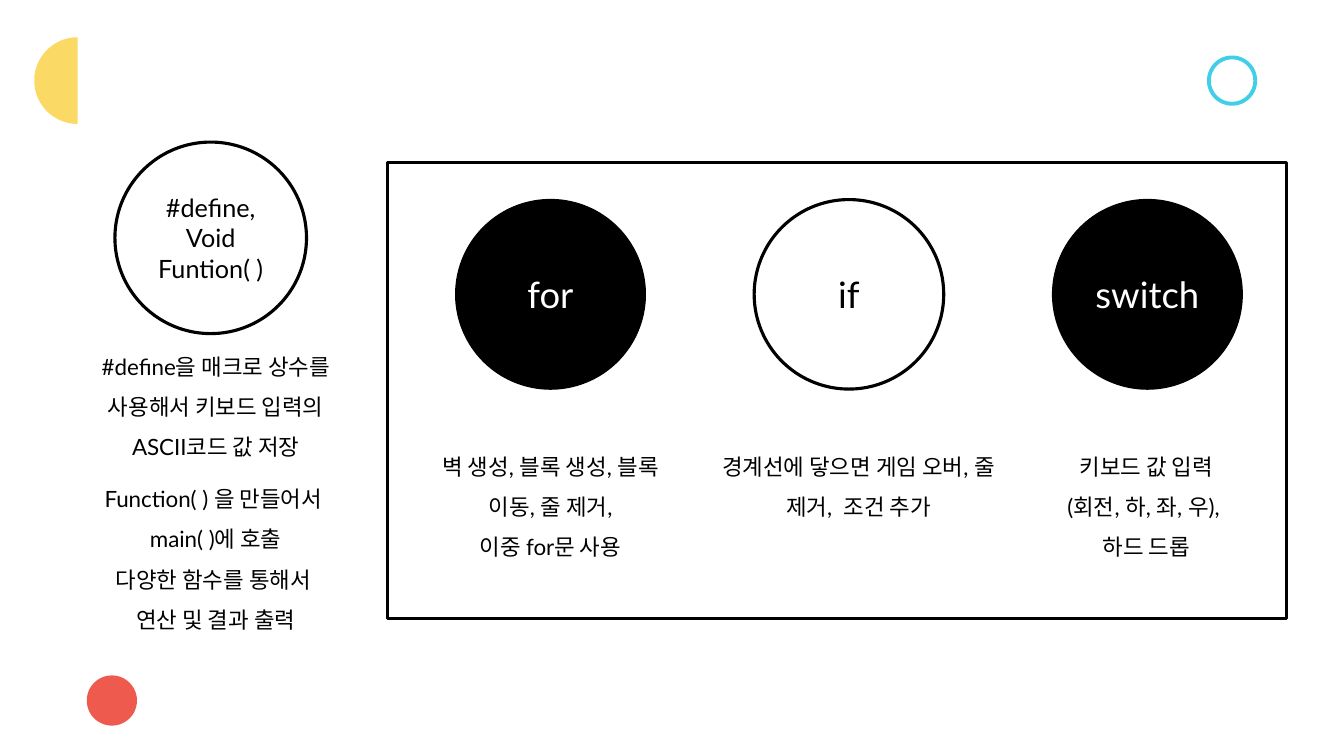
"""Build a slide explaining the macros, functions and control statements of a game."""
import math
from dataclasses import dataclass

import pptx
import pptx.dml.color
import pptx.enum.shapes
import pptx.enum.text
import pptx.util

SLIDE_SIZE = (1333, 750)
EMU_PER_PX = 9144

HALF_DISC = {"center": (77, 80), "radius": 43}
DOTS = [
    {"box": (88, 672, 46, 46), "fill": "red", "line": "red"},
    {"box": (1199, 57, 46, 46), "fill": None, "line": "cyan"},
]
FRAME = (384, 161, 892, 453)

DEFINE_CIRCLE = {"box": (114, 141, 190, 190), "lines": ["#define,", "Void Funtion( )"]}
DEFINE_NOTES = [
    {"box": (75, 332, 278, 131),
     "lines": ["#define을 매크로 상수를 사용해서 키보드 입력의 ASCII코드 값 저장"]},
    {"box": (75, 463, 278, 172),
     "lines": ["Function( ) 을 만들어서  main( )에 호출",
               "다양한 함수를 통해서 \n연산 및 결과 출력"]},
]

STATEMENTS = [
    {"keyword": "for", "solid": True, "note_left": 407, "note_size": (278, 131),
     "lines": ["벽 생성, 블록 생성, 블록 이동, 줄 제거,", "이중 for문 사용"]},
    {"keyword": "if", "solid": False, "note_left": 705, "note_size": (293, 91),
     "lines": ["경계선에 닿으면 게임 오버, 줄 제거,  조건 추가"]},
    {"keyword": "switch", "solid": True, "note_left": 998, "note_size": (278, 131),
     "lines": ["키보드 값 입력\n(회전, 하, 좌, 우), \n하드 드롭"]},
]
STATEMENT_LEFT, STATEMENT_TOP, STATEMENT_STEP, STATEMENT_DIAMETER = 452, 198, 296, 188
NOTE_TOP = 431


@dataclass(frozen=True)
class Theme:
    """Colours, font, type sizes and line widths."""
    black: str = "000000"
    white: str = "FFFFFF"
    yellow: str = "FBD965"
    red: str = "EE5A4E"
    cyan: str = "40CEE9"
    font: str = "Lato"
    keyword_size: int = 26
    define_size: int = 18
    note_size: int = 16
    note_spacing: float = 1.5
    dot_line: float = 2.75
    outline: float = 2.25
    solid_line: float = 1


THEME = Theme()


def px(length):
    return pptx.util.Emu(round(length * EMU_PER_PX))


def rgb(name):
    return pptx.dml.color.RGBColor.from_string(getattr(THEME, name))


def paint(shape, fill, line, line_width=0):
    shape.shadow.inherit = False
    if fill:
        shape.fill.solid()
        shape.fill.fore_color.rgb = rgb(fill)
    else:
        shape.fill.background()
    if line:
        shape.line.color.rgb = rgb(line)
        shape.line.width = pptx.util.Pt(line_width)
    else:
        shape.line.fill.background()


def add_shape(slide, kind, box, fill, line, line_width):
    shape = slide.shapes.add_shape(kind, *map(px, box))
    paint(shape, fill, line, line_width)
    return shape


def add_ellipse(slide, *details):
    return add_shape(slide, pptx.enum.shapes.MSO_SHAPE.OVAL, *details)


def write(text_frame, lines, size, color, spacing=None):
    text_frame.word_wrap = True
    for index, line in enumerate(lines):
        paragraph = text_frame.add_paragraph() if index else text_frame.paragraphs[0]
        paragraph.alignment = pptx.enum.text.PP_ALIGN.CENTER
        if spacing:
            paragraph.line_spacing = spacing
        for part_index, part in enumerate(line.split("\n")):
            if part_index:
                paragraph.add_line_break()
            run = paragraph.add_run()
            run.text = part
            run.font.name = THEME.font
            run.font.size = pptx.util.Pt(size)
            run.font.color.rgb = rgb(color)


def add_circle_label(slide, box, lines, size, solid):
    width = THEME.solid_line if solid else THEME.outline
    circle = add_ellipse(slide, box, "black" if solid else None, "black", width)
    text_frame = circle.text_frame
    text_frame.margin_left = text_frame.margin_right = 0
    text_frame.margin_top = text_frame.margin_bottom = 0
    text_frame.vertical_anchor = pptx.enum.text.MSO_ANCHOR.MIDDLE
    write(text_frame, lines, size, "white" if solid else "black")


def add_note(slide, box, lines):
    text_frame = slide.shapes.add_textbox(*map(px, box)).text_frame
    write(text_frame, lines, THEME.note_size, "black", THEME.note_spacing)
    text_frame.auto_size = pptx.enum.text.MSO_AUTO_SIZE.SHAPE_TO_FIT_TEXT


def add_half_disc(slide, center, radius):
    angles = [math.radians(degrees) for degrees in range(90, 271, 3)]
    points = [(px(center[0] + radius * math.cos(angle)),
               px(center[1] + radius * math.sin(angle))) for angle in angles]
    builder = slide.shapes.build_freeform(*points[0])
    builder.add_line_segments(points[1:], close=True)
    paint(builder.convert_to_shape(), "yellow", None)


def main():
    presentation = pptx.Presentation()
    presentation.slide_width, presentation.slide_height = map(px, SLIDE_SIZE)
    slide = presentation.slides.add_slide(presentation.slide_layouts.get_by_name("Blank"))

    add_half_disc(slide, **HALF_DISC)
    for dot in DOTS:
        add_ellipse(slide, dot["box"], dot["fill"], dot["line"], THEME.dot_line)
    add_shape(slide, pptx.enum.shapes.MSO_SHAPE.RECTANGLE, FRAME, None, "black", THEME.outline)

    add_circle_label(slide, DEFINE_CIRCLE["box"], DEFINE_CIRCLE["lines"],
                     THEME.define_size, solid=False)
    for note in DEFINE_NOTES:
        add_note(slide, note["box"], note["lines"])

    for column, statement in enumerate(STATEMENTS):
        left = STATEMENT_LEFT + column * STATEMENT_STEP
        box = (left, STATEMENT_TOP, STATEMENT_DIAMETER, STATEMENT_DIAMETER)
        add_circle_label(slide, box, [statement["keyword"]],
                         THEME.keyword_size, statement["solid"])
        add_note(slide, (statement["note_left"], NOTE_TOP, *statement["note_size"]),
                 statement["lines"])

    presentation.save("out.pptx")


if __name__ == "__main__":
    main()
